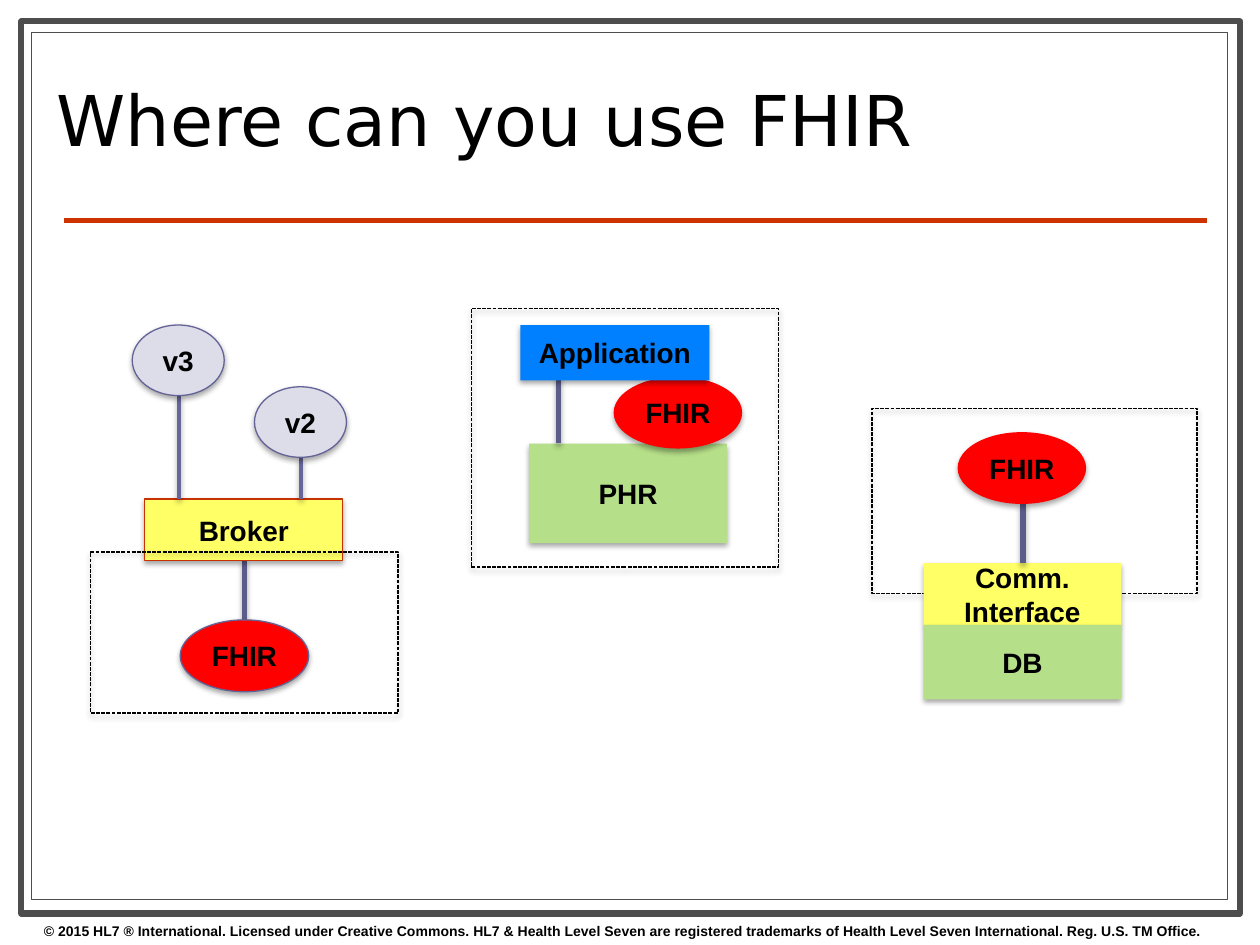
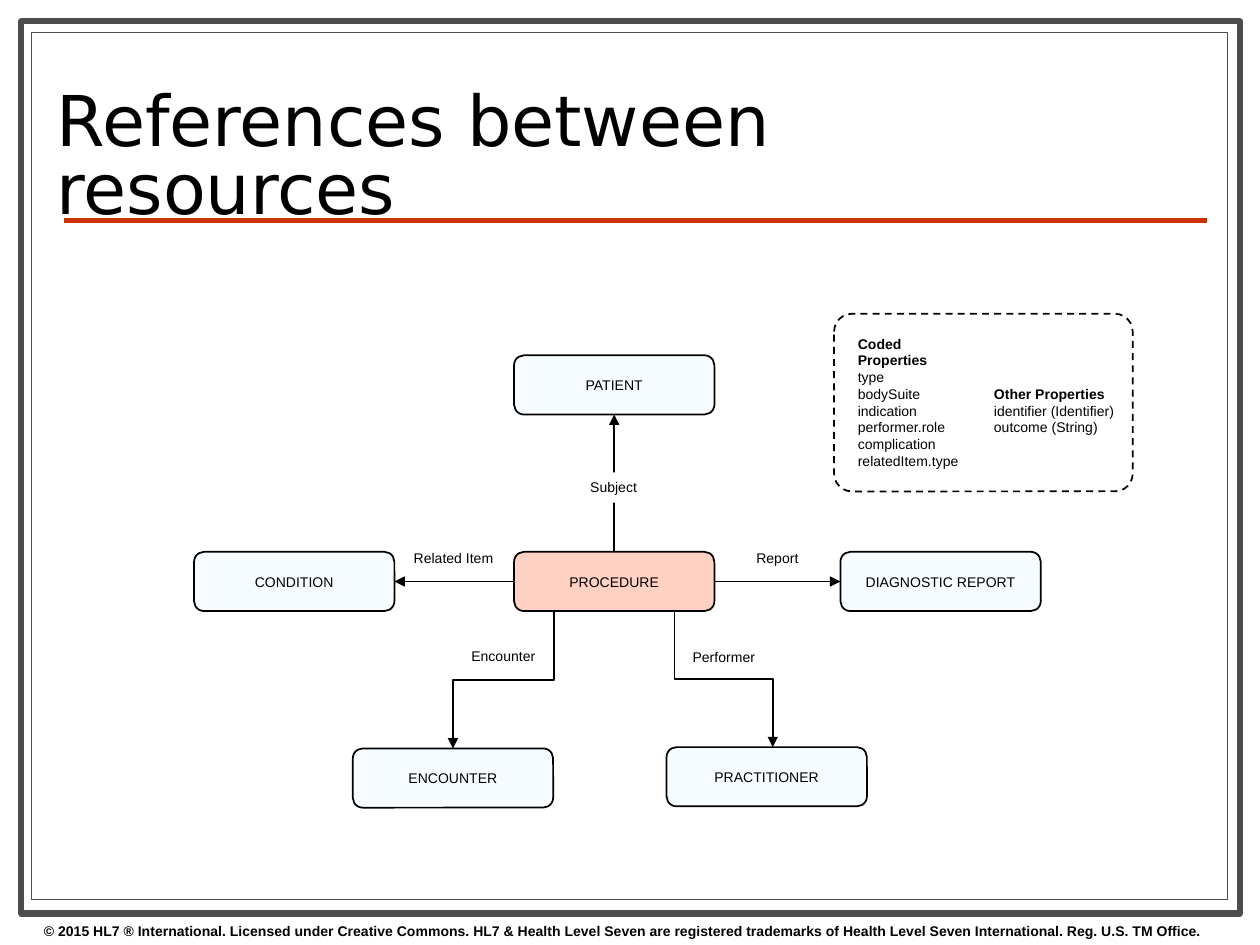
from dataclasses import dataclass

from lxml import etree
from pptx import Presentation
from pptx.dml.color import RGBColor
from pptx.enum.dml import MSO_LINE
from pptx.enum.shapes import MSO_CONNECTOR, MSO_SHAPE
from pptx.enum.text import MSO_ANCHOR, MSO_AUTO_SIZE, PP_ALIGN
from pptx.oxml.ns import qn
from pptx.util import Inches, Pt

RECT, OVAL, ROUND = MSO_SHAPE.RECTANGLE, MSO_SHAPE.OVAL, MSO_SHAPE.ROUNDED_RECTANGLE
STRAIGHT, ELBOW = MSO_CONNECTOR.STRAIGHT, MSO_CONNECTOR.ELBOW
LEFT, CENTER = PP_ALIGN.LEFT, PP_ALIGN.CENTER
TOP, MIDDLE = MSO_ANCHOR.TOP, MSO_ANCHOR.MIDDLE
SYS_DASH, DASH = MSO_LINE.SQUARE_DOT, MSO_LINE.DASH


@dataclass(frozen=True)
class Theme:
    body_font: str = "Arial"
    title_font: str = "DejaVu Sans"
    title_size: int = 40
    block_size: int = 16
    small_size: int = 8
    black: str = "000000"
    white: str = "FFFFFF"
    frame: str = "4D4D4D"
    rule: str = "CC3300"
    red: str = "FF0000"
    yellow: str = "FFFF66"
    green: str = "B6DF89"
    blue: str = "0080FF"
    lilac: str = "DDDDE9"
    outline: str = "636397"
    broker_edge: str = "C83200"
    thick_link: str = "5C5C8A"
    thin_link: str = "666699"
    focus: str = "FFD1C2"
    resource: str = "97DCFF"


THEME = Theme()
TITLES = ("Where can you use FHIR", "References between resources")
COPYRIGHT = ("© 2015 HL7 ® International. Licensed under Creative Commons. HL7 & Health Level "
             "Seven are registered trademarks of Health Level Seven International. "
             "Reg. U.S. TM Office.")

# Block styles: preset, size, fill, outline
STYLES = {
    "fhir": (OVAL, (1.02, 0.57), THEME.red, None),
    "linked fhir": (OVAL, (1.02, 0.57), THEME.red, THEME.outline),
    "message": (OVAL, (0.73, 0.56), THEME.lilac, THEME.outline),
    "broker": (RECT, (1.57, 0.49), THEME.yellow, THEME.broker_edge),
    "interface": (RECT, (1.57, 0.49), THEME.yellow, None),
    "record": (RECT, (1.57, 0.79), THEME.green, None),
    "database": (RECT, (1.57, 0.59), THEME.green, None),
    "application": (RECT, (1.5, 0.44), THEME.blue, None),
}

# Back to front: ("link", x, top, bottom, width), ("zone", left, top, width, height)
# or (style, left, top, lines of text)
USES = [
    ("link", 1.94, 4.45, 4.92, 3),
    ("linked fhir", 1.43, 4.92, ["FHIR"]),
    ("broker", 1.15, 3.96, ["Broker"]),
    ("link", 1.42, 3.14, 3.96, 2),
    ("message", 1.05, 2.58, ["v3"]),
    ("zone", 0.72, 4.38, 2.44, 1.28),
    ("link", 2.39, 3.63, 3.96, 2),
    ("message", 2.02, 3.07, ["v2"]),
    ("record", 4.2, 3.52, ["PHR"]),
    ("link", 4.43, 2.99, 3.52, 3),
    ("zone", 3.74, 2.45, 2.44, 2.05),
    ("fhir", 4.87, 2.99, ["FHIR"]),
    ("application", 4.13, 2.58, ["Application"]),
    ("zone", 6.92, 3.24, 2.58, 1.47),
    ("interface", 7.33, 4.47, ["Comm.", "Interface"]),
    ("database", 7.33, 4.96, ["DB"]),
    ("link", 8.12, 4, 4.47, 3),
    ("fhir", 7.6, 3.43, ["FHIR"]),
]

NODE_SIZE = (1.59, 0.47)
NODES = {
    "PROCEDURE": (4.08, 4.38),
    "PATIENT": (4.08, 2.82),
    "DIAGNOSTIC REPORT": (6.67, 4.38),
    "CONDITION": (1.54, 4.38),
    "ENCOUNTER": (2.8, 5.94),
    "PRACTITIONER": (5.29, 5.93),
}
# Target, start and end as fractions of the node sizes
REFERENCES = [
    ("PATIENT", (0.5, 0), (0.5, 1)),
    ("DIAGNOSTIC REPORT", (1, 0.5), (0, 0.5)),
    ("CONDITION", (0, 0.5), (1, 0.5)),
    ("ENCOUNTER", (0.2, 1), (0.5, 0)),
    ("PRACTITIONER", (0.8, 1), (0.53, 0)),
]
# Text, left, top, width, fill
LABELS = [
    ("Subject", 4.36, 3.75, 1.02, THEME.white),
    ("Report", 5.67, 4.31, 1, None),
    ("Related Item", 3.12, 4.31, 0.96, None),
    ("Encounter", 3.6, 5.09, 0.79, None),
    ("Performer", 5.35, 5.1, 0.79, None),
]
# Box, then heading and properties
PROPERTIES = [
    ((6.71, 2.61, 1.1, 1.15), ["Coded Properties", "type", "bodySuite", "indication",
                               "performer.role", "complication", "relatedItem.type"]),
    ((7.79, 3.01, 1.2, 0.5), ["Other Properties", "identifier (Identifier)",
                              "outcome (String)"]),
]


def rgb(color):
    return RGBColor.from_string(color)


def style_line(line, color, width, dash=None):
    if color is None:
        line.fill.background()
        return
    line.color.rgb = rgb(color)
    line.width = Pt(width)
    if dash is not None:
        line.dash_style = dash


def add_shadow(effects):
    """Cast a soft shadow straight down."""
    shadow = etree.SubElement(effects, qn("a:outerShdw"), blurRad="40000", dist="22000",
                              dir="5400000", rotWithShape="0")
    color = etree.SubElement(shadow, qn("a:srgbClr"), val=THEME.black)
    etree.SubElement(color, qn("a:alpha"), val="35000")


def write(shape, lines, size, bold=False, align=LEFT, anchor=TOP, font=THEME.body_font):
    frame = shape.text_frame
    frame.word_wrap = True
    frame.auto_size = MSO_AUTO_SIZE.NONE
    frame.vertical_anchor = anchor
    frame.text = "\n".join(lines)
    for para in frame.paragraphs:
        para.alignment = align
        para.font.name = font
        para.font.size = Pt(size)
        para.font.bold = bold
        para.font.color.rgb = rgb(THEME.black)
    return frame


def add_box(page, preset, place, fill, line, width=0.75, dash=None, shadow=False):
    box = page.shapes.add_shape(preset, *map(Inches, place))
    if fill is None:
        box.fill.background()
    else:
        box.fill.solid()
        box.fill.fore_color.rgb = rgb(fill)
    style_line(box.line, line, width, dash)
    box.shadow.inherit = False
    if shadow:
        add_shadow(box.element.spPr.find(qn("a:effectLst")))
    return box


def add_text(page, place, lines, size, **options):
    box = page.shapes.add_textbox(*map(Inches, place))
    write(box, lines, size, **options)
    return box


def add_line(page, start, end, color, width, kind=STRAIGHT, arrow=False, shadow=False):
    line = page.shapes.add_connector(kind, *map(Inches, (*start, *end)))
    style_line(line.line, color, width)
    properties = line.element.spPr
    if arrow:
        etree.SubElement(properties.find(qn("a:ln")), qn("a:tailEnd"), type="triangle")
    effects = etree.SubElement(properties, qn("a:effectLst"))
    if shadow:
        add_shadow(effects)
    return line


def add_drop(page, start, end):
    """Join two points by an elbow arrow that leaves and arrives vertically."""
    (x1, y1), (x2, y2) = start, end
    mid_x, mid_y = (x1 + x2) / 2, (y1 + y2) / 2
    turn = 1 if x2 < x1 else -1
    reach, half_drop = abs(x2 - x1) / 2, (y2 - y1) / 2
    line = add_line(page, (mid_x - turn * half_drop, mid_y - reach),
                    (mid_x + turn * half_drop, mid_y + reach),
                    THEME.black, 1, ELBOW, arrow=True)
    angle = 90 if turn == 1 else 270
    line.element.spPr.find(qn("a:xfrm")).set("rot", str(angle * 60000))


def add_frame(page, layout):
    """Draw the frame, rule and copyright line, and hand them to the layout."""
    for place, width in (((0.17, 0.17, 9.67, 7.08), 3.5), ((0.25, 0.26, 9.49, 6.88), 0.75)):
        add_box(page, RECT, place, THEME.white, THEME.frame, width)
    add_line(page, (0.51, 1.75), (9.58, 1.75), THEME.rule, 3)
    add_text(page, (0.25, 7.27, 10, 0.23), [COPYRIGHT], THEME.small_size, bold=True)
    for holder in list(layout.placeholders)[1:]:
        layout.shapes.element.remove(holder.element)
    parts = [shape for shape in page.shapes if not shape.is_placeholder]
    for position, part in enumerate(parts, start=2):
        layout.shapes.element.insert(position, part.element)


def set_title(page, text):
    title = page.shapes.title
    title.left, title.top, title.width, title.height = map(Inches, (0.35, 0.36, 7.17, 1.29))
    frame = write(title, [text], THEME.title_size, font=THEME.title_font)
    frame.margin_top = Inches(0.38)
    frame.paragraphs[0].line_spacing = 0.8


def draw_uses(page):
    for kind, left, top, *rest in USES:
        if kind == "link":
            bottom, width = rest
            color = THEME.thick_link if width == 3 else THEME.thin_link
            add_line(page, (left, top), (left, bottom), color, width, shadow=True)
        elif kind == "zone":
            add_box(page, RECT, (left, top, *rest), None, THEME.black, dash=SYS_DASH,
                    shadow=True)
        else:
            preset, size, fill, line = STYLES[kind]
            box = add_box(page, preset, (left, top, *size), fill, line, shadow=True)
            write(box, rest[0], THEME.block_size, bold=True, align=CENTER, anchor=MIDDLE)


def node_point(name, fractions):
    return tuple(edge + size * part
                 for edge, size, part in zip(NODES[name], NODE_SIZE, fractions))


def draw_references(page):
    for place, lines in PROPERTIES:
        box = add_text(page, place, lines, THEME.small_size)
        box.text_frame.paragraphs[0].font.bold = True
    panel = add_box(page, ROUND, (6.62, 2.49, 2.37, 1.41), None, THEME.black, 1, DASH)
    panel.adjustments[0] = 0.1

    for name, corner in NODES.items():
        focus = name == "PROCEDURE"
        node = add_box(page, ROUND, (*corner, *NODE_SIZE),
                       THEME.focus if focus else THEME.resource, THEME.black, 1)
        if not focus:
            color = node.element.spPr.find(qn("a:solidFill")).find(qn("a:srgbClr"))
            etree.SubElement(color, qn("a:alpha"), val="8000")
        write(node, [name], THEME.small_size, align=CENTER, anchor=MIDDLE)

    for target, leave, arrive in REFERENCES:
        start, end = node_point("PROCEDURE", leave), node_point(target, arrive)
        if leave[1] == 1:
            add_drop(page, start, end)
        else:
            add_line(page, start, end, THEME.black, 1, arrow=True)

    for text, left, top, width, fill in LABELS:
        place = (left, top, width, 0.24)
        if fill:
            write(add_box(page, RECT, place, fill, None), [text], THEME.small_size,
                  align=CENTER)
        else:
            add_text(page, place, [text], THEME.small_size, align=CENTER)


def main():
    deck = Presentation()
    deck.slide_width, deck.slide_height = Inches(10), Inches(7.5)
    layout = deck.slide_layouts.get_by_name("Title Only")
    pages = [deck.slides.add_slide(layout) for _ in TITLES]
    add_frame(pages[0], layout)
    for page, title, draw in zip(pages, TITLES, (draw_uses, draw_references)):
        set_title(page, title)
        draw(page)
    deck.save("out.pptx")


if __name__ == "__main__":
    main()
